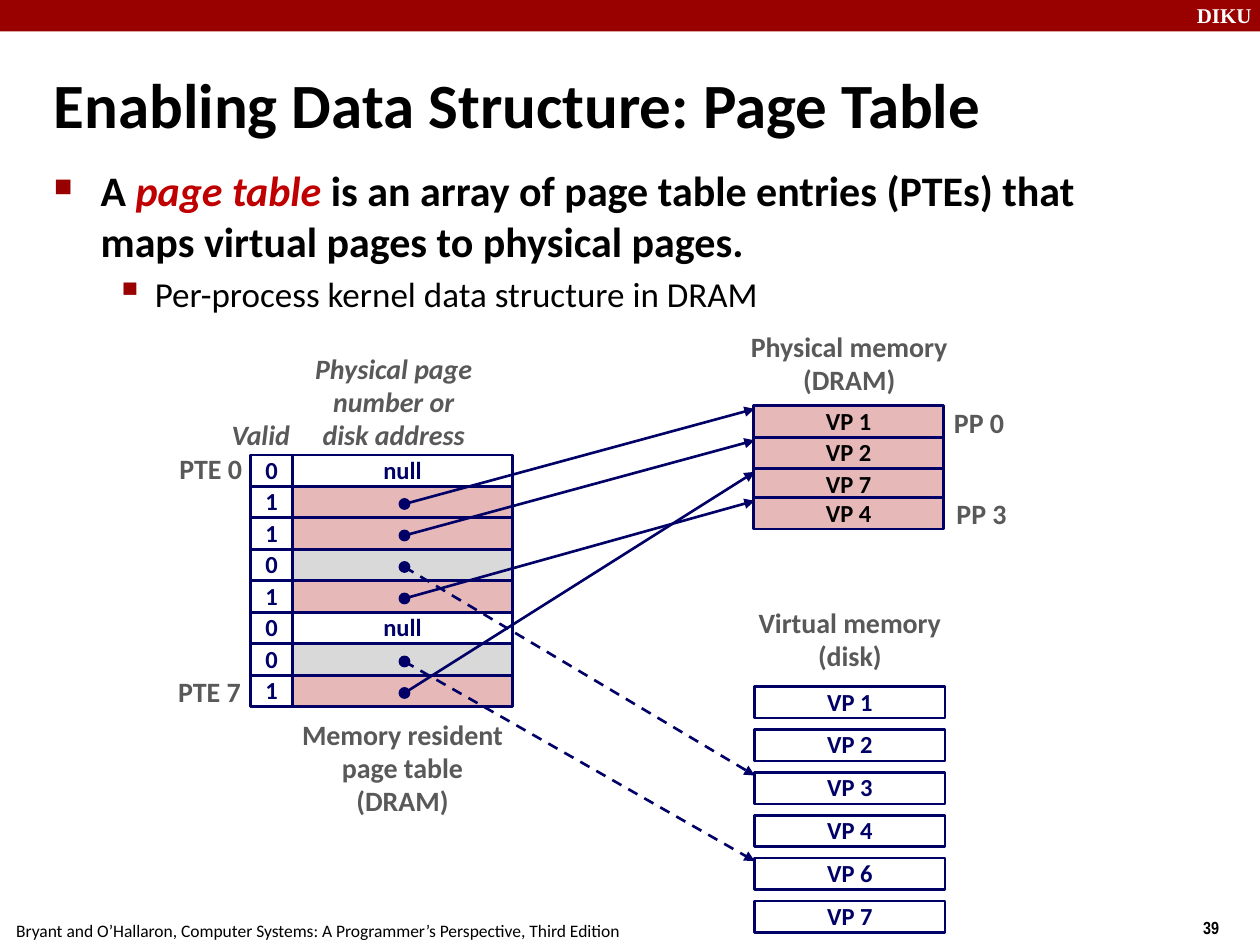
from lxml import etree
from pptx import Presentation, util as u
from pptx.dml.color import RGBColor
from pptx.enum import dml, shapes, text
from pptx.oxml.ns import qn

COLS, ROWS = 40, 30
CELL = u.Inches(0.25)
NAVY, RED, PINK, SILVER = "000066", "990000", "E6B9B8", "D9D9D9"
GRAY, BLACK, WHITE = "595959", "000000", "FFFFFF"
LEFT, CENTER, RIGHT = text.PP_ALIGN.LEFT, text.PP_ALIGN.CENTER, text.PP_ALIGN.RIGHT
TOP, MIDDLE = text.MSO_ANCHOR.TOP, text.MSO_ANCHOR.MIDDLE

# Page table geometry, in grid cells
VALID_X, ADDRESS_X, TABLE_Y = 7.96, 9.28, 14.44
VALID_W, ADDRESS_W = 1.32, 7
DOT_X, DOT_Y, DOT_SIZE = 12.84, 0.56, 0.32

# Memory geometry, in grid cells
MEMORY_W, ARROW_X = 6.04, 23.96
DRAM_X, DRAM_TOPS = 23.92, [12.88, 13.88, 14.88, 15.8]
DISK_X, DISK_TOPS = 23.96, [21.8 + 1.36 * i for i in range(6)]
DRAM_PAGES = ["VP 1", "VP 2", "VP 7", "VP 4"]
DISK_PAGES = ["VP 1", "VP 2", "VP 3", "VP 4", "VP 6", "VP 7"]

# Valid bit, and where the entry points: a page in DRAM, a page on disk, or nowhere
ENTRIES = [("0", None, None), ("1", "dram", "VP 1"), ("1", "dram", "VP 2"),
           ("0", "disk", "VP 3"), ("1", "dram", "VP 4"), ("0", None, None),
           ("0", "disk", "VP 6"), ("1", "dram", "VP 7")]
ENTRY_FILLS = {None: WHITE, "dram": PINK, "disk": SILVER}


def rgb(value):
    return RGBColor.from_string(value)


def grid(*cells):
    return [round(c * CELL) for c in cells]


def add_run(p, words, size, color, bold=True, italic=False, font="Calibri"):
    r = p.add_run()
    r.text = words
    r.font.name, r.font.size = font, u.Pt(size)
    r.font.bold, r.font.italic = bold, italic
    r.font.color.rgb = rgb(color)


def write(tf, lines, size, color, align=CENTER, anchor=MIDDLE, wrap=False,
          spacing=0.98, **style):
    tf.word_wrap, tf.vertical_anchor = wrap, anchor
    for i, line in enumerate(lines):
        p = tf.add_paragraph() if i else tf.paragraphs[0]
        p.alignment, p.line_spacing = align, spacing
        add_run(p, line, size, color, **style)


def add_label(s, box, lines, size=16, color=GRAY, **style):
    write(s.shapes.add_textbox(*grid(*box)).text_frame, lines, size, color, **style)


def add_box(s, box, fill=None, line=NAVY, words=None, color=NAVY, width=1.5,
            kind=shapes.MSO_SHAPE.RECTANGLE):
    sp = s.shapes.add_shape(kind, *grid(*box))
    sp.shadow.inherit = False
    if fill:
        sp.fill.solid()
        sp.fill.fore_color.rgb = rgb(fill)
    else:
        sp.fill.background()
    if line:
        sp.line.color.rgb = rgb(line)
        sp.line.width = u.Pt(width)
    else:
        sp.line.fill.background()
    if words:
        write(sp.text_frame, [words], 14, color)


def add_arrow(s, x1, y1, x2, y2, dashed):
    c = s.shapes.add_connector(shapes.MSO_CONNECTOR.STRAIGHT, *grid(x1, y1, x2, y2))
    c.line.color.rgb = rgb(NAVY)
    c.line.width = u.Pt(1.5)
    if dashed:
        c.line.dash_style = dml.MSO_LINE.DASH
    etree.SubElement(c.line._get_or_add_ln(), qn("a:tailEnd"), type="triangle")
    etree.SubElement(c._element.spPr, qn("a:effectLst"))


def set_bullet(p, char, percent, margin, indent):
    pPr = p._p.get_or_add_pPr()
    pPr.set("marL", str(u.Inches(margin)))
    pPr.set("indent", str(u.Inches(indent)))
    color = etree.SubElement(pPr, qn("a:buClr"))
    etree.SubElement(color, qn("a:srgbClr"), val=RED)
    etree.SubElement(pPr, qn("a:buSzPct"), val=str(percent * 1000))
    etree.SubElement(pPr, qn("a:buChar"), char=char)


def add_frame(s):
    """Header bar, title, footer and slide number."""
    plain = dict(align=LEFT, anchor=TOP, spacing=1)
    add_box(s, (0, 0, COLS, 1), RED, line=None)
    add_label(s, (37.6, -0.12, 2.68, 1.2), ["DIKU"], 12, WHITE, wrap=True,
              font="Times New Roman", **plain)
    add_label(s, (37.8, 28.92, 3, 1.16), ["39"], 10, BLACK, font="Arial Narrow", **plain)
    add_label(s, (0.12, 29, 19.96, 1.04),
              ["Bryant and O’Hallaron, Computer Systems: "
               "A Programmer’s Perspective, Third Edition"],
              10, BLACK, bold=False, **plain)
    add_label(s, (1.32, 1.56, 36.24, 3.44), ["Enabling Data Structure: Page Table"],
              36, BLACK, align=LEFT, wrap=True, spacing=1)


def add_body(s):
    tf = s.shapes.add_textbox(*grid(1.28, 5.04, 36.32, 5.64)).text_frame
    tf.word_wrap = True
    p = tf.paragraphs[0]
    set_bullet(p, "■", 60, 0.38, -0.37)
    add_run(p, "A ", 24, BLACK)
    add_run(p, "page table ", 24, "C00000", italic=True)
    add_run(p, "is an array of page table entries (PTEs) that maps virtual pages "
               "to physical pages.", 24, BLACK)
    p = tf.add_paragraph()
    p.level = 1
    set_bullet(p, "▪", 110, 0.81, -0.31)
    p.space_before = u.Pt(4)
    add_run(p, "Per-process kernel data structure in DRAM", 20, BLACK, bold=False)


def add_memory(s, x, tops, pages, fill, color):
    for top, page in zip(tops, pages):
        add_box(s, (x, top, MEMORY_W, 1), fill, words=page, color=color)


def add_page_table(s):
    for i, (valid, target, _) in enumerate(ENTRIES):
        y = TABLE_Y + i
        add_box(s, (ADDRESS_X, y, ADDRESS_W, 1), ENTRY_FILLS[target],
                words=None if target else "null")
        add_box(s, (VALID_X, y, VALID_W, 1), words=valid)


def add_pointers(s):
    page_tops = {"dram": dict(zip(DRAM_PAGES, DRAM_TOPS)),
                 "disk": dict(zip(DISK_PAGES, DISK_TOPS))}
    for i, (_, target, page) in enumerate(ENTRIES):
        if target:
            y = TABLE_Y + i + DOT_Y
            add_arrow(s, DOT_X, y, ARROW_X, page_tops[target][page] + 0.1,
                      dashed=target == "disk")
            add_box(s, (DOT_X - DOT_SIZE / 2, y - DOT_SIZE / 2, DOT_SIZE, DOT_SIZE),
                    NAVY, width=1, kind=shapes.MSO_SHAPE.OVAL)


def add_labels(s):
    add_label(s, (6.96, 13.12, 3, 1.48), ["Valid"], align=LEFT, anchor=TOP,
              wrap=True, italic=True)
    add_label(s, (9.5, 11, 6, 3.56), ["Physical page", "number or", "disk address"],
              italic=True)
    add_label(s, (8.98, 22.64, 7.6, 3.56), ["Memory resident", "page table", "(DRAM)"],
              anchor=TOP)
    add_label(s, (23.26, 10.32, 7.4, 2.52), ["Physical memory", "(DRAM)"], anchor=TOP)
    add_label(s, (23.48, 19.08, 7, 2.52), ["Virtual memory", "(disk)"], anchor=TOP)
    add_label(s, (5.08, 14.16, 3, 1.48), ["PTE 0"], align=RIGHT)
    add_label(s, (5.04, 21.24, 3, 1.48), ["PTE 7"], align=RIGHT)
    add_label(s, (29.78, 12.72, 2.6, 1.48), ["PP 0"])
    add_label(s, (29.86, 15.6, 2.6, 1.48), ["PP 3"])


def main():
    prs = Presentation()
    prs.slide_width, prs.slide_height = grid(COLS, ROWS)
    s = prs.slides.add_slide(prs.slide_layouts[6])
    add_frame(s)
    add_body(s)
    add_page_table(s)
    add_memory(s, DRAM_X, DRAM_TOPS, DRAM_PAGES, PINK, BLACK)
    add_memory(s, DISK_X, DISK_TOPS, DISK_PAGES, WHITE, NAVY)
    add_labels(s)
    add_pointers(s)
    prs.save("out.pptx")


if __name__ == "__main__":
    main()
